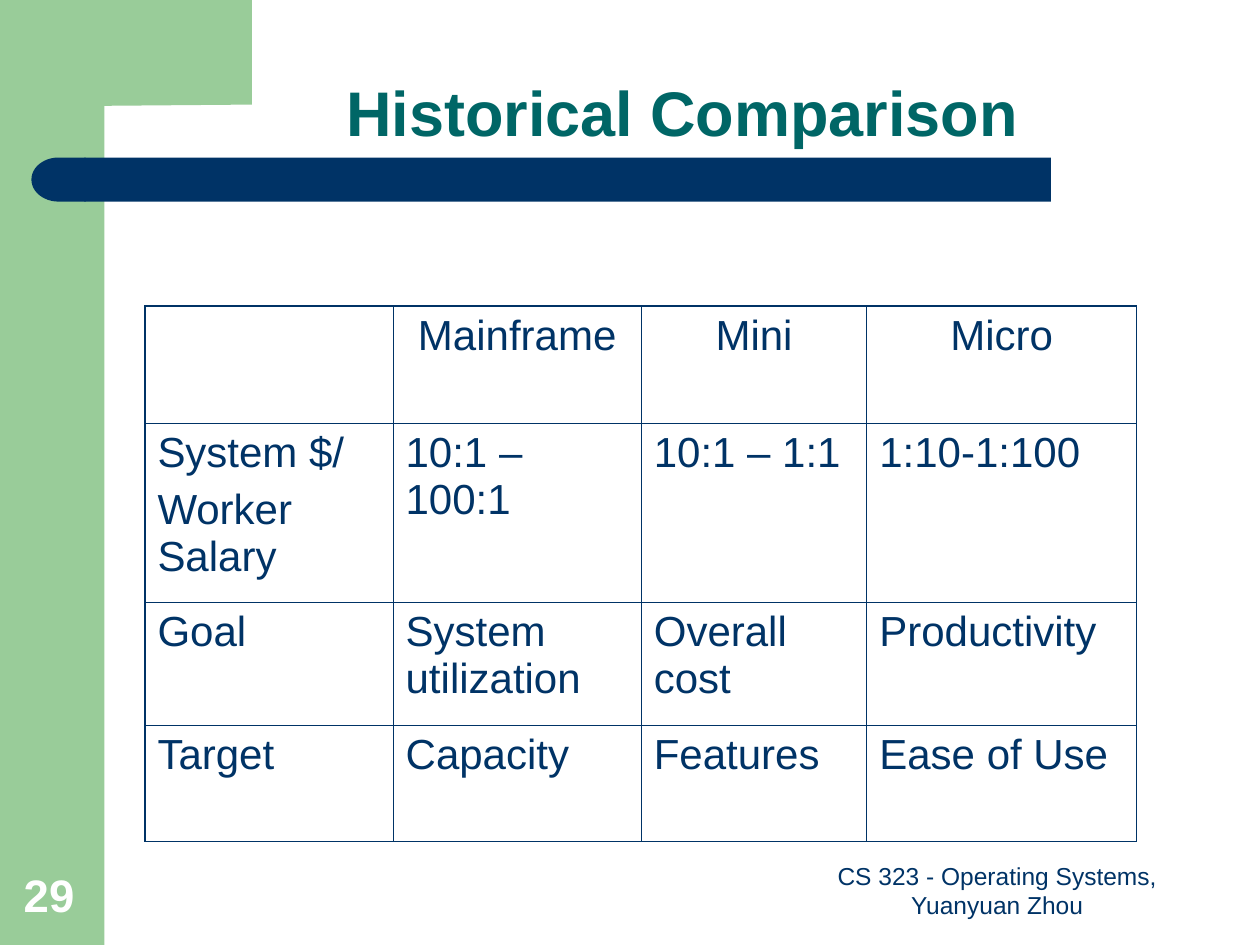
"""Build the Historical Comparison slide with its side band, title bar and table."""
from lxml.etree import SubElement
from pptx import Presentation
from pptx.dml.color import RGBColor
from pptx.enum.shapes import MSO_SHAPE as Shape
from pptx.enum.text import MSO_ANCHOR as Anchor, PP_ALIGN as Align
from pptx.oxml.ns import qn
from pptx.util import Inches, Pt

GREEN = RGBColor(0x99, 0xCC, 0x99)
NAVY = RGBColor(0x00, 0x33, 0x66)
TEAL = RGBColor(0x00, 0x66, 0x66)
WHITE = RGBColor(0xFF, 0xFF, 0xFF)

CORNER = [(0.5, 0), (2, 0), (2, 0.83), (0.83, 0.84), (0.77, 0.85), (0.71, 0.92),
          (0.68, 1.04), (0.67, 1.16), (0.67, 1.28), (0.5, 1.28)]
COLUMN_WIDTHS = [1.97, 1.97, 1.79, 2.14]
ROW_HEIGHTS = [0.93, 1.42, 0.98, 0.92]
COMPARISON = [
    ["", "Mainframe", "Mini", "Micro"],
    ["System $/\nWorker Salary", "10:1 – 100:1", "10:1 – 1:1", "1:10-1:100"],
    ["Goal", "System utilization", "Overall cost", "Productivity"],
    ["Target", "Capacity", "Features", "Ease of Use"],
]


class SlideBuilder:
    """Hold the text style and the current slide."""

    font = "Arial"
    inner_line = Pt(0.45)
    outer_line = Pt(1.08)

    def __init__(self, page):
        self.page = page

    def paint(self, shape, color):
        shape.shadow.inherit = False
        shape.fill.solid()
        shape.fill.fore_color.rgb = color
        shape.line.fill.background()
        return shape

    def shape(self, kind, left, top, width, height, color):
        shape = self.page.shapes.add_shape(
            kind, Inches(left), Inches(top), Inches(width), Inches(height))
        return self.paint(shape, color)

    def outline(self, points, color):
        corners = [(Inches(x), Inches(y)) for x, y in points]
        builder = self.page.shapes.build_freeform(*corners[0])
        builder.add_line_segments(corners[1:], close=True)
        return self.paint(builder.convert_to_shape(), color)

    def set_text(self, frame, text, size, color, align, bold=False):
        frame.text = text
        for para in frame.paragraphs:
            para.alignment = align
            for span in para.runs:
                span.font.name = self.font
                span.font.size = Pt(size)
                span.font.bold = bold
                span.font.color.rgb = color

    def title(self, text, left, top, width, height):
        title = self.page.shapes.title
        title.left, title.top = Inches(left), Inches(top)
        title.width, title.height = Inches(width), Inches(height)
        title.text_frame.vertical_anchor = Anchor.BOTTOM
        self.set_text(title.text_frame, text, 36, TEAL, Align.CENTER, bold=True)
        title.text_frame.paragraphs[0].line_spacing = 0.9

    def text(self, text, left, top, width, height, size, color, align, bold=False):
        box = self.page.shapes.add_textbox(
            Inches(left), Inches(top), Inches(width), Inches(height))
        box.text_frame.word_wrap = True
        box.text_frame.vertical_anchor = Anchor.BOTTOM
        self.set_text(box.text_frame, text, size, color, align, bold)

    def borders(self, cell, outer_sides):
        properties = cell._tc.get_or_add_tcPr()
        for side in "LRTB":
            width = self.outer_line if side in outer_sides else self.inner_line
            line = SubElement(properties, qn(f"a:ln{side}"), w=str(int(width)))
            fill = SubElement(line, qn("a:solidFill"))
            SubElement(fill, qn("a:srgbClr"), val=str(NAVY))

    def table(self, rows, left, top, widths, heights):
        table = self.page.shapes.add_table(
            len(rows), len(widths), Inches(left), Inches(top),
            Inches(sum(widths)), Inches(sum(heights))).table
        table.first_row = table.horz_banding = False
        for column, width in zip(table.columns, widths):
            column.width = Inches(width)
        for row, height in zip(table.rows, heights):
            row.height = Inches(height)
        last_row, last_column = len(rows) - 1, len(widths) - 1
        for r, texts in enumerate(rows):
            for c, text in enumerate(texts):
                cell = table.cell(r, c)
                edges = {"L": c == 0, "R": c == last_column,
                         "T": r == 0, "B": r == last_row}
                self.borders(cell, [side for side, outer in edges.items() if outer])
                cell.fill.background()
                align = Align.CENTER if r == 0 else Align.LEFT
                self.set_text(cell.text_frame, text, 24, NAVY, align)
                for para in cell.text_frame.paragraphs:
                    para.space_before = Pt(6)


def main():
    deck = Presentation()
    deck.slide_width, deck.slide_height = Inches(10), Inches(7.5)
    slide = SlideBuilder(deck.slides.add_slide(deck.slide_layouts[5]))

    slide.shape(Shape.RECTANGLE, 0, 0, 0.83, 7.5, GREEN)
    slide.outline(CORNER, GREEN)
    bar = slide.shape(Shape.ROUNDED_RECTANGLE, 0.67, 1.25, 7.67, 0.35, NAVY)
    bar.adjustments[0] = 0
    cap = slide.shape(Shape.FLOWCHART_DELAY, 0.25, 1.25, 0.43, 0.35, NAVY)
    cap._element.spPr.xfrm.set("flipH", "1")

    slide.title("Historical Comparison", 1.08, 0.58, 8.67, 0.66)
    slide.table(COMPARISON, 1.15, 2.43, COLUMN_WIDTHS, ROW_HEIGHTS)
    slide.text("CS 323 - Operating Systems, Yuanyuan Zhou",
               6.33, 6.83, 3.17, 0.52, 14, NAVY, Align.CENTER)
    slide.text("29", 0.09, 6.83, 0.64, 0.53, 26, WHITE, Align.LEFT, bold=True)
    deck.save("out.pptx")


if __name__ == "__main__":
    main()
